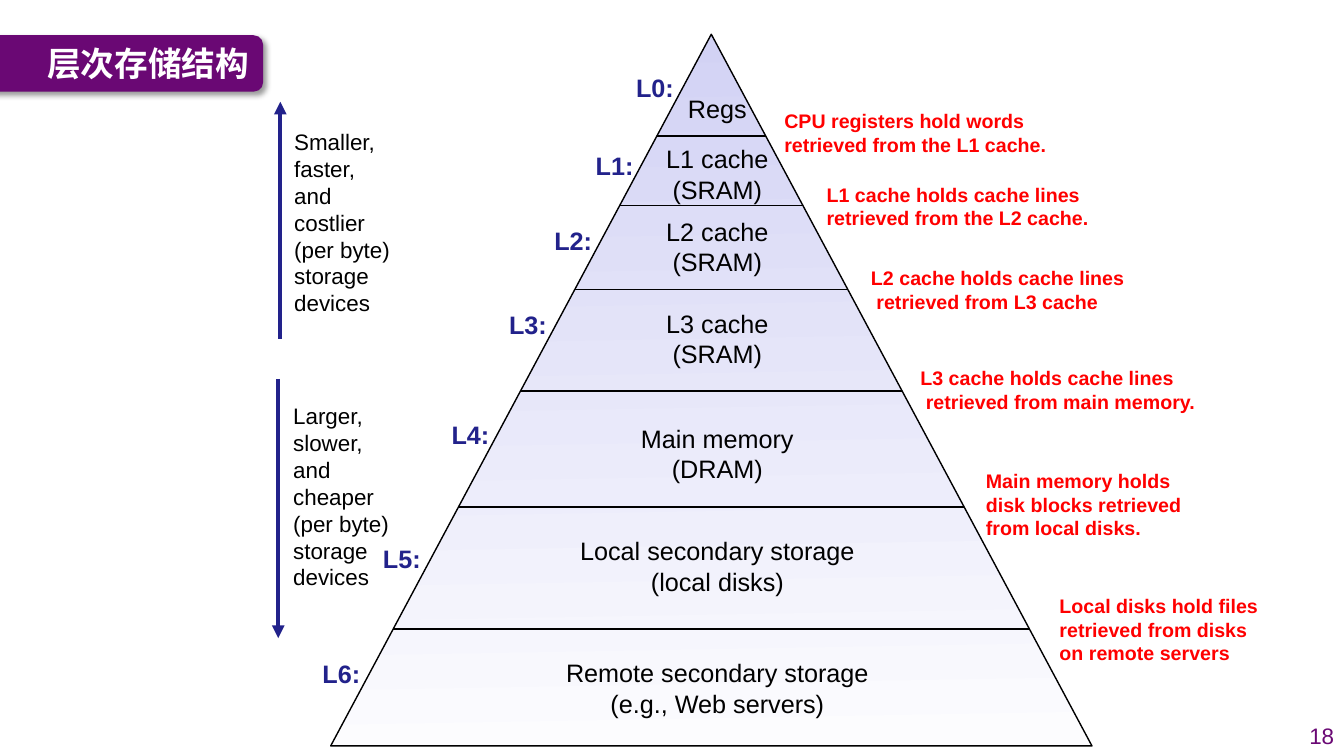
from lxml import etree
from pptx import Presentation
from pptx.dml.color import RGBColor
from pptx.enum.shapes import MSO_CONNECTOR, MSO_SHAPE
from pptx.enum.text import MSO_ANCHOR, MSO_AUTO_SIZE, PP_ALIGN
from pptx.oxml import parse_xml
from pptx.oxml.ns import qn
from pptx.util import Inches, Pt

STRAIGHT = MSO_CONNECTOR.STRAIGHT
MIDDLE = MSO_ANCHOR.MIDDLE
LEFT, CENTER, RIGHT = PP_ALIGN.LEFT, PP_ALIGN.CENTER, PP_ALIGN.RIGHT

PURPLE = RGBColor(0x6A, 0x08, 0x74)
NAVY = RGBColor(0x22, 0x22, 0x8B)
LAVENDER = RGBColor(0xD2, 0xD2, 0xF4)
PALE = RGBColor(0xFC, 0xFC, 0xFE)
RED = RGBColor(0xFF, 0x00, 0x00)
BLACK = RGBColor(0x00, 0x00, 0x00)
WHITE = RGBColor(0xFF, 0xFF, 0xFF)

SHADOW = (
    '<a:effectLst xmlns:a="http://schemas.openxmlformats.org/drawingml/2006/main">'
    '<a:outerShdw blurRad="50800" dist="38100" dir="2700000" algn="tl" rotWithShape="0">'
    '<a:srgbClr val="000000"><a:alpha val="40000"/></a:srgbClr>'
    '</a:outerShdw></a:effectLst>'
)

prs = Presentation()
prs.slide_width, prs.slide_height = Inches(13.33), Inches(7.5)
s = prs.slides.add_slide(prs.slide_layouts[5])


def add_text(x, y, w, h, text, size, color, bold=False, align=LEFT, wrap=False):
    sp = s.shapes.add_textbox(Inches(x), Inches(y), Inches(w), Inches(h))
    tf = sp.text_frame
    tf.text = text
    tf.word_wrap = wrap
    tf.auto_size = MSO_AUTO_SIZE.SHAPE_TO_FIT_TEXT
    tf.vertical_anchor = MIDDLE
    for p in tf.paragraphs:
        p.alignment = align
        p.font.name = "Arial"
        for r in p.runs:
            r.font.name = "Arial"
            r.font.size = Pt(size)
            r.font.bold = bold
            r.font.color.rgb = color


def add_line(x1, y1, x2, y2, color, width):
    line = s.shapes.add_connector(STRAIGHT, Inches(x1), Inches(y1), Inches(x2), Inches(y2))
    line.line.color.rgb = color
    line.line.width = Pt(width)
    etree.SubElement(line.element.spPr, qn("a:effectLst"))
    return line


# Title banner
banner = s.shapes.add_shape(MSO_SHAPE.ROUNDED_RECTANGLE,
                            Inches(-0.2), Inches(0.35), Inches(2.81), Inches(0.56))
banner.fill.solid()
banner.fill.fore_color.rgb = PURPLE
banner.line.fill.background()
banner.element.spPr.append(parse_xml(SHADOW))

# Title, placed in front of its banner
title = s.shapes.title
banner.element.addnext(title.element)
title.left, title.top = Inches(0.37), Inches(0.35)
title.width, title.height = Inches(2.24), Inches(0.55)
tf = title.text_frame
tf.text = "层次存储结构"
tf.word_wrap = True
tf.auto_size = MSO_AUTO_SIZE.NONE
tf.vertical_anchor = MIDDLE
p = tf.paragraphs[0]
p.alignment = LEFT
r = p.runs[0]
r.font.name = "Noto Sans CJK SC"
r.font.size = Pt(24)
r.font.bold = True
r.font.color.rgb = WHITE
etree.SubElement(r.font._element, qn("a:ea")).set("typeface", "Noto Sans CJK SC")

# Page number
add_text(12.78, 7.1, 0.55, 0.4, "18", 16, PURPLE, align=RIGHT, wrap=True)

# Pyramid
left, top, width, height = 3.28, 0.34, 7.55, 7.06
pyramid = s.shapes.add_shape(MSO_SHAPE.ISOSCELES_TRIANGLE,
                             Inches(left), Inches(top), Inches(width), Inches(height))
pyramid.shadow.inherit = False
pyramid.fill.gradient()
pyramid.fill.gradient_angle = 91
for stop, color, position in zip(pyramid.fill.gradient_stops, (PALE, LAVENDER), (0, 1)):
    stop.color.rgb = color
    stop.position = position
pyramid.line.color.rgb = BLACK
pyramid.line.width = Pt(1)

# Level dividers, reaching from edge to edge of the pyramid
apex = left + width / 2
for y in (1.35, 2.04, 2.87, 3.88, 5.03, 6.24):
    half = (y - top) / height * width / 2
    add_line(apex - half, y, apex + half, y, BLACK, 1)

# Level names: left, top, width, height, text
for x, y, w, h, text in (
    (6.72, 0.88, 0.79, 0.4, "Regs"),
    (6.5, 1.37, 1.23, 0.71, "L1 cache\n(SRAM)"),
    (6.5, 2.09, 1.23, 0.71, "L2 cache\n(SRAM)"),
    (6.5, 3.0, 1.23, 0.71, "L3 cache\n(SRAM)"),
    (6.25, 4.14, 1.73, 0.71, "Main memory\n(DRAM)"),
    (5.64, 5.26, 2.95, 0.71, "Local secondary storage\n(local disks)"),
    (5.5, 6.47, 3.23, 0.71, "Remote secondary storage\n(e.g., Web servers)"),
):
    add_text(x, y, w, h, text, 18, BLACK, align=CENTER)

# Level numbers
for level, (x, y) in enumerate(((6.21, 0.67), (5.81, 1.44), (5.4, 2.19), (4.95, 3.02),
                                (4.38, 4.11), (3.7, 5.34), (3.1, 6.48))):
    add_text(x, y, 0.58, 0.4, f"L{level}:", 18, NAVY, bold=True)

# Notes on what each level holds
for x, y, w, h, text in (
    (7.68, 1.03, 3.19, 0.57, "CPU registers hold words retrieved from the L1 cache."),
    (8.1, 1.76, 3.1, 0.57, "L1 cache holds cache lines retrieved from the L2 cache."),
    (8.54, 2.59, 2.88, 0.57, "L2 cache holds cache lines\n retrieved from L3 cache"),
    (9.03, 3.58, 3.15, 0.57, "L3 cache holds cache lines\n retrieved from main memory."),
    (9.68, 4.6, 2.39, 0.81, "Main memory holds disk blocks retrieved from local disks."),
    (10.41, 5.84, 2.26, 0.81, "Local disks hold files retrieved from disks\non remote servers"),
):
    add_text(x, y, w, h, text, 14, RED, bold=True, wrap=True)

# Trend arrows and their captions
for x, y1, y2, text_x, text_y, text in (
    (2.78, 3.36, 1.01, 2.82, 1.21,
     "Smaller,\nfaster,\nand\ncostlier\n(per byte)\nstorage\ndevices"),
    (2.76, 3.76, 6.33, 2.81, 3.93,
     "Larger,\nslower,\nand\ncheaper\n(per byte)\nstorage\ndevices"),
):
    arrow = add_line(x, y1, x, y2, NAVY, 3)
    etree.SubElement(arrow.line._get_or_add_ln(), qn("a:tailEnd")).set("type", "triangle")
    add_text(text_x, text_y, 1.16, 1.99, text, 16, BLACK)

prs.save("out.pptx")
